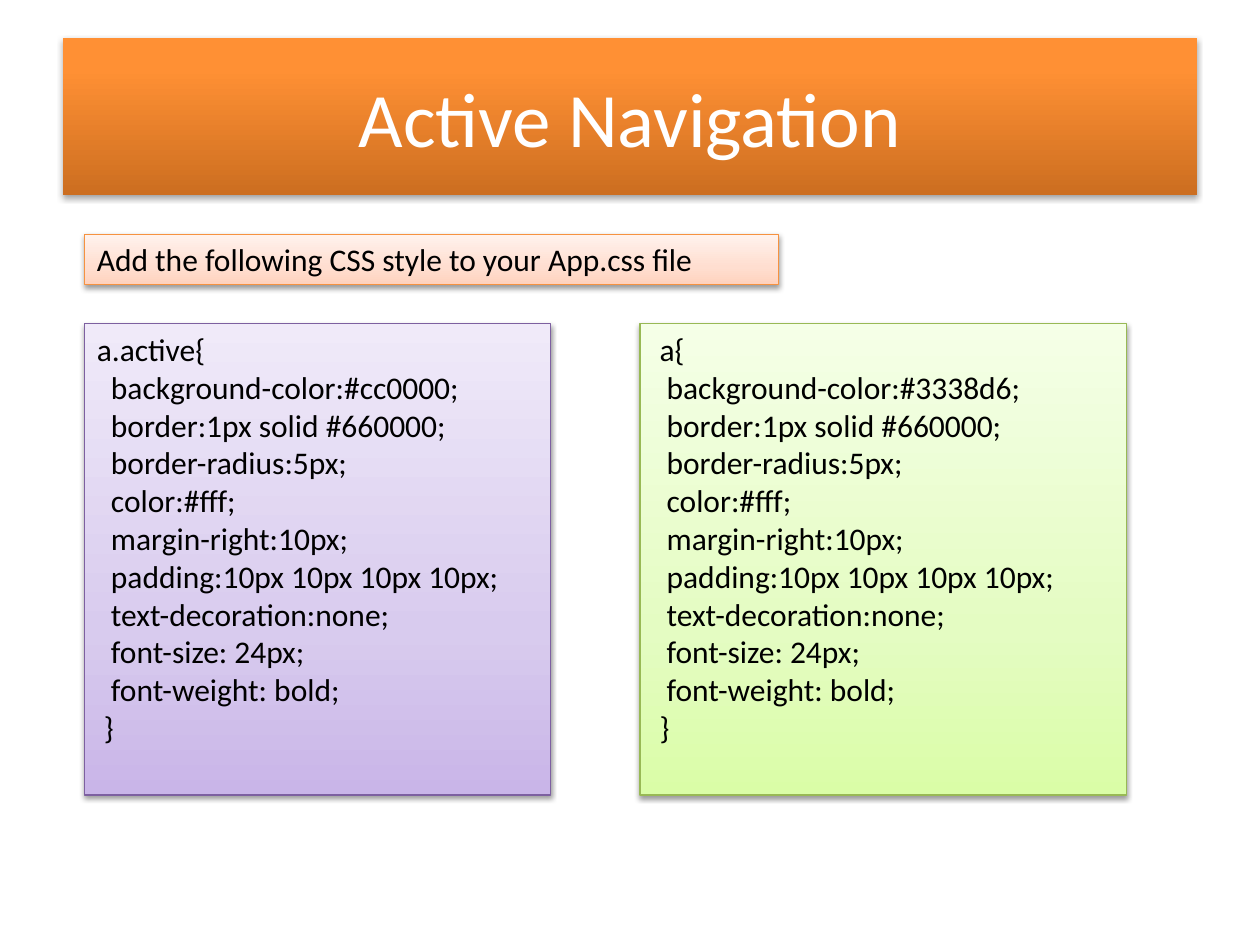
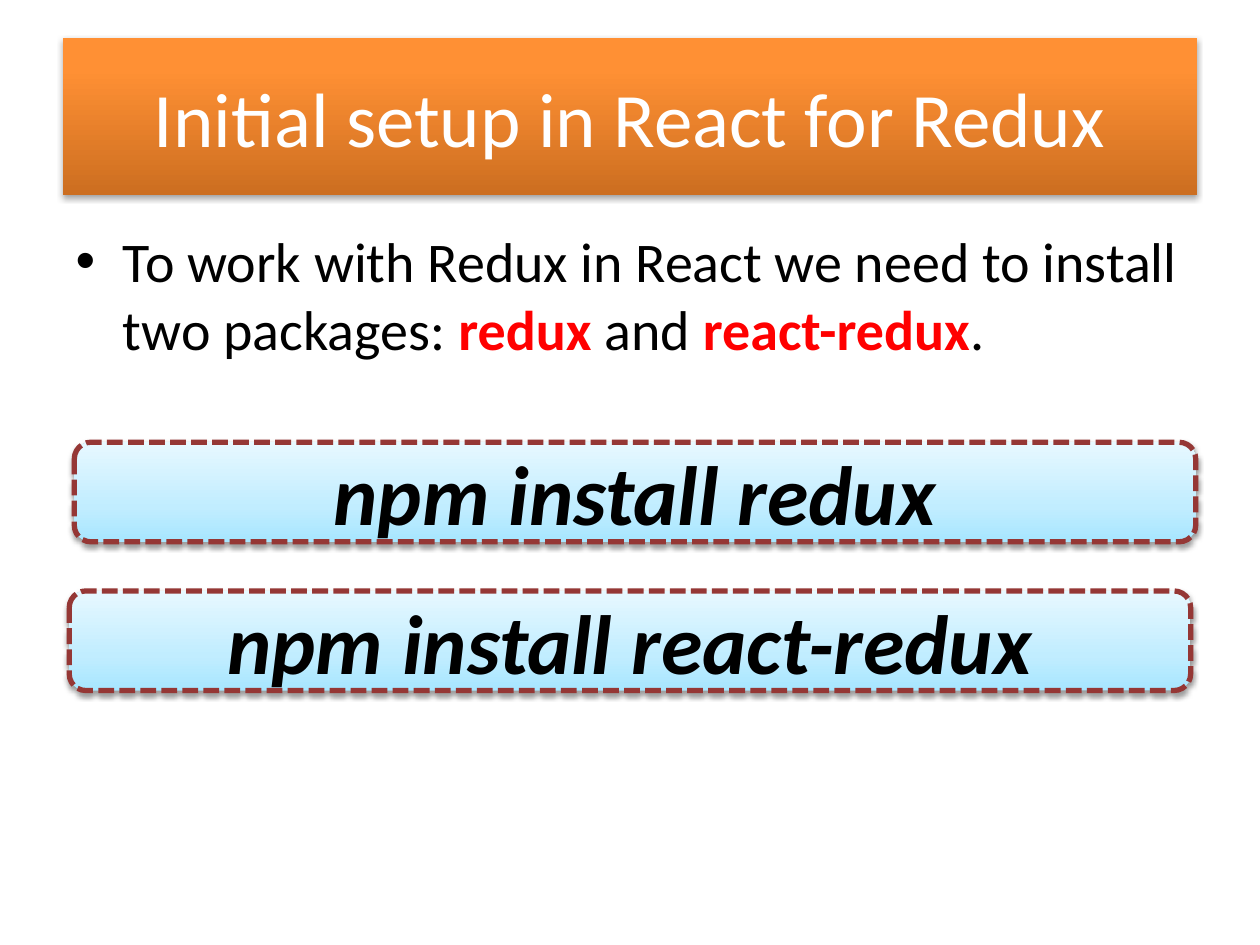
import pptx
import pptx.util
import pptx.dml.color
import pptx.enum.dml
import pptx.enum.shapes
import pptx.enum.text
import pptx.oxml.ns
import lxml.etree

FONT = "Calibri"
COLORS = {"white": "FFFFFF", "black": "000000", "package": "FF0000"}
BANDS = {
    "title": ((0, "CC6E20"), (80, "FF9034"), (100, "FF9136")),
    "purple": ((0, "C9B5E8"), (35, "D8CBEE"), (100, "F0EAF9")),
    "green": ((0, "DAFDA7"), (35, "E4FCC2"), (100, "F5FFE7")),
    "orange": ((0, "FFD2BD"), (35, "FFDED0"), (100, "FFF2ED")),
    "aqua": ((0, "A7E6FF"), (35, "C1EDFF"), (100, "E7F8FF")),
}
EDGES = {"purple": "7D60A0", "green": "98B955", "orange": "F69240", "aqua": "953735"}

NAVIGATION_TITLE = "Active Navigation"
INSTRUCTION = "Add the following CSS style to your App.css file"
SHARED_RULES = [
    "border:1px solid #660000;",
    "border-radius:5px;",
    "color:#fff;",
    "margin-right:10px;",
    "padding:10px 10px 10px 10px;",
    "text-decoration:none;",
    "font-size: 24px;",
    "font-weight: bold;",
]
STYLES = [
    ("a.active{", "#cc0000", "purple", 0.67, 3.7),
    (" a{", "#3338d6", "green", 5.08, 3.86),
]
REDUX_TITLE = "Initial setup in React for Redux"
PACKAGES = [
    ("To work with Redux in React we need to install two packages: ", False),
    ("redux", True),
    (" and ", False),
    ("react-redux", True),
    (".", False),
]
COMMANDS = [("npm install redux", 0.59), ("npm install react-redux", 0.55)]

MARGIN, CONTENT_WIDTH = 0.5, 9
COMMAND_TOP, COMMAND_STEP = 3.51, 1.18


def rgb(value):
    return pptx.dml.color.RGBColor.from_string(value)


def place(shape, left, top, width, height):
    shape.left, shape.top, shape.width, shape.height = (
        pptx.util.Inches(v) for v in (left, top, width, height))


def child(parent, tag, **attributes):
    element = lxml.etree.SubElement(parent, pptx.oxml.ns.qn(tag))
    for name, value in attributes.items():
        element.set(name, str(value))
    return element


def paint(shape, band, opacity=38, distance=1.6):
    shape.fill.gradient()
    shape.fill.gradient_angle = 90
    properties = shape._element.spPr
    stops = properties.find(".//" + pptx.oxml.ns.qn("a:gsLst"))
    for stop in list(stops):
        stops.remove(stop)
    for position, color in BANDS[band]:
        child(child(stops, "a:gs", pos=position * 1000), "a:srgbClr", val=color)
    shape.shadow.inherit = False
    effects = properties.find(pptx.oxml.ns.qn("a:effectLst"))
    shadow = child(effects, "a:outerShdw", blurRad=pptx.util.Pt(3.1),
                   dist=pptx.util.Pt(distance), dir=90 * 60000, rotWithShape=0)
    child(child(shadow, "a:srgbClr", val=COLORS["black"]), "a:alpha", val=opacity * 1000)


def write(paragraph, text, size, color="black", bold=False, italic=False):
    run = paragraph.add_run()
    run.text = text
    run.font.name, run.font.size = FONT, pptx.util.Pt(size)
    run.font.bold, run.font.italic = bold, italic
    run.font.color.rgb = rgb(COLORS[color])


def add_panel(slide, bounds, band, lines, size=18, command=False):
    kinds = pptx.enum.shapes.MSO_SHAPE
    panel = slide.shapes.add_shape(
        kinds.ROUNDED_RECTANGLE if command else kinds.RECTANGLE, 0, 0, 0, 0)
    place(panel, *bounds)
    paint(panel, band)
    panel.line.color.rgb = rgb(EDGES[band])
    panel.line.width = pptx.util.Pt(3 if command else 0.75)
    if command:
        panel.line.dash_style = pptx.enum.dml.MSO_LINE.SQUARE_DOT
    frame = panel.text_frame
    frame.word_wrap = True
    anchors, aligns = pptx.enum.text.MSO_ANCHOR, pptx.enum.text.PP_ALIGN
    frame.vertical_anchor = anchors.MIDDLE if command else anchors.TOP
    for index, line in enumerate(lines):
        paragraph = frame.add_paragraph() if index else frame.paragraphs[0]
        paragraph.alignment = aligns.CENTER if command else aligns.LEFT
        write(paragraph, line, size, bold=command, italic=command)


def add_titled_slide(deck, layout, text):
    slide = deck.slides.add_slide(deck.slide_layouts.get_by_name(layout))
    title = slide.shapes.title
    place(title, MARGIN, 0.3, CONTENT_WIDTH, 1.25)
    paint(title, "title", opacity=35, distance=1.8)
    title.text_frame.vertical_anchor = pptx.enum.text.MSO_ANCHOR.MIDDLE
    heading = title.text_frame.paragraphs[0]
    heading.alignment = pptx.enum.text.PP_ALIGN.CENTER
    write(heading, text, 44, "white")
    return slide


def build_navigation(deck):
    slide = add_titled_slide(deck, "Title Only", NAVIGATION_TITLE)
    for selector, background, band, left, width in STYLES:
        rules = [f"background-color:{background};"] + SHARED_RULES
        code = [selector] + ["  " + rule for rule in rules] + [" }"]
        add_panel(slide, (left, 2.57, width, 3.74), band, code)
    add_panel(slide, (0.67, 1.86, 5.51, 0.4), "orange", [INSTRUCTION])


def build_redux(deck):
    slide = add_titled_slide(deck, "Title and Content", REDUX_TITLE)
    body = slide.placeholders[1]
    place(body, MARGIN, 1.75, CONTENT_WIDTH, 1.45)
    body.text_frame.auto_size = pptx.enum.text.MSO_AUTO_SIZE.NONE
    for text, is_package in PACKAGES:
        write(body.text_frame.paragraphs[0], text, 32,
              "package" if is_package else "black", bold=is_package)
    for row, (command, left) in enumerate(COMMANDS):
        top = COMMAND_TOP + row * COMMAND_STEP
        add_panel(slide, (left, top, 8.9, 0.79), "aqua", [command], 48, command=True)


def main():
    deck = pptx.Presentation()
    deck.slide_width, deck.slide_height = pptx.util.Inches(10), pptx.util.Inches(7.5)
    build_navigation(deck)
    build_redux(deck)
    deck.save("out.pptx")


if __name__ == "__main__":
    main()
